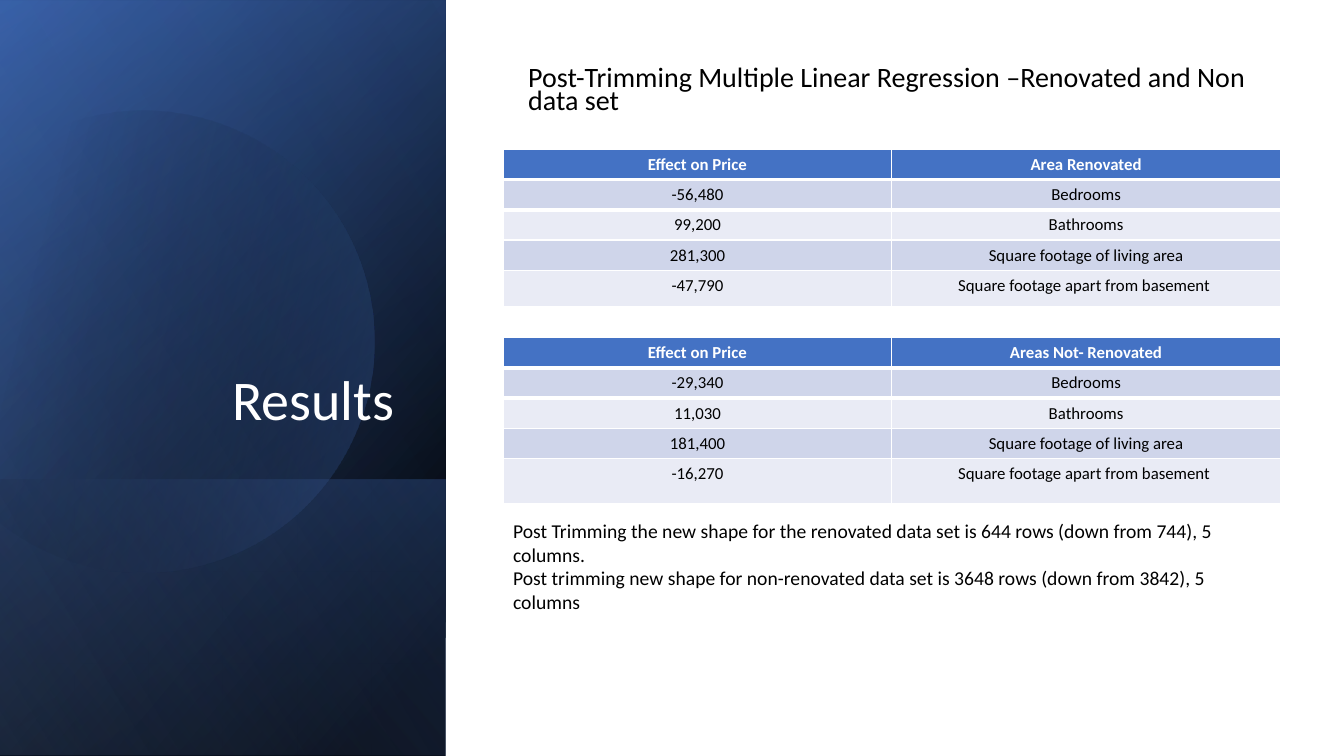
from dataclasses import dataclass
from math import cos, radians, sin, tan

from lxml import etree
from pptx import Presentation
from pptx.dml.color import RGBColor
from pptx.enum.shapes import MSO_SHAPE as SHAPE
from pptx.enum.text import MSO_ANCHOR as ANCHOR, PP_ALIGN as ALIGN
from pptx.oxml.ns import qn
from pptx.util import Inches, Pt


@dataclass(frozen=True)
class Theme:
    font: str = "Calibri"
    white: str = "FFFFFF"
    black: str = "000000"
    blue: str = "4472C4"
    navy: str = "2F5597"
    pale: str = "8FAADC"
    bands: tuple = ("CFD5EA", "E9EBF5")
    title: int = 40
    subtitle: int = 20
    body: int = 14
    cell: int = 12


T = Theme()


def write(tf, *lines, size, color=T.black, bold=False, align=ALIGN.LEFT,
          anchor=ANCHOR.TOP, spacing=1.0):
    tf.word_wrap = True
    tf.vertical_anchor = anchor
    for i, line in enumerate(lines):
        p = tf.paragraphs[0] if i == 0 else tf.add_paragraph()
        p.alignment = align
        p.line_spacing = spacing
        r = p.add_run()
        r.text = line
        r.font.name = T.font
        r.font.size = Pt(size)
        r.font.bold = bold
        r.font.color.rgb = RGBColor.from_string(color)


def shade(sp, angle, *stops):
    """Fill with two (position, colour, opacity) stops, in percent; angle is clockwise."""
    sp.shadow.inherit = False
    sp.line.fill.background()
    sp.fill.gradient()
    sp.fill.gradient_angle = (360 - angle) % 360
    for stop, (position, color, _) in zip(sp.fill.gradient_stops, stops):
        stop.position = position / 100
        stop.color.rgb = RGBColor.from_string(color)
    colors = sp._element.spPr.iter(qn("a:srgbClr"))
    for node, (_, _, opacity) in zip(list(colors), stops):
        etree.SubElement(node, qn("a:alpha"), val=str(opacity * 1000))


prs = Presentation()
prs.slide_width, prs.slide_height = Inches(13.33), Inches(7.5)
s = prs.slides.add_slide(prs.slide_layouts[5])

backdrop = s.shapes.add_shape(SHAPE.RECTANGLE, 0, 0, prs.slide_width, prs.slide_height)
backdrop.shadow.inherit = False
backdrop.fill.solid()
backdrop.fill.fore_color.rgb = RGBColor.from_string(T.white)
backdrop.line.fill.background()

# Left panel: gradient layers turned a quarter, with a cut disc under the last one
LAYERS = [
    (-1.54, 1.54, 7.5, 50, (8, T.black, 100), (100, T.navy, 100)),
    (-1.54, 1.55, 7.5, 30, (0, T.black, 0), (99, T.blue, 46)),
    (0.84, 3.92, 2.74, 130, (2, T.blue, 29), (100, T.black, 30)),
    (-1.54, 1.53, 7.5, 120, (0, T.black, 0), (99, T.pale, 11)),
]
for left, top, width, angle, *stops in LAYERS:
    if angle == 120:
        cx, cy, radius = 1.42, 3.34, 2.29
        turns = [radians(a) for a in (-117, -90, 0, 90, 149)]
        points = [(cx + radius * cos(turns[0]), cy + radius * sin(turns[0]))]
        for a, b in zip(turns, turns[1:]):
            k = 4 / 3 * tan((b - a) / 4)
            for t, pull in ((a, k), (b, -k), (b, 0)):
                points.append((cx + radius * (cos(t) - pull * sin(t)),
                               cy + radius * (sin(t) + pull * cos(t))))
        points = [(Inches(x), Inches(y)) for x, y in points]
        outline = s.shapes.build_freeform(*points[0])
        outline.add_line_segments(points[1:], close=True)
        disc = outline.convert_to_shape()
        segments = list(disc._element.spPr.iter(qn("a:lnTo")))
        for first, second, third in zip(*[iter(segments)] * 3):
            curve = etree.Element(qn("a:cubicBezTo"))
            first.addprevious(curve)
            for segment in (first, second, third):
                curve.append(segment[0])
                segment.getparent().remove(segment)
        disc.rotation = 343.9
        shade(disc, 30, (29, T.black, 0), (100, T.blue, 43))
    sp = s.shapes.add_shape(SHAPE.RECTANGLE, Inches(left), Inches(top),
                            Inches(width), Inches(4.42))
    sp.rotation = 90
    sp._element.spPr.find(qn("a:xfrm")).set("flipH", "1")
    shade(sp, angle, *stops)

title = s.shapes.title
s.shapes._spTree.append(title._element)
title.left, title.top, title.width, title.height = map(Inches, (0.51, 0.64, 3.5, 3.7))
write(title.text_frame, "Results", size=T.title, color=T.white,
      align=ALIGN.RIGHT, anchor=ANCHOR.BOTTOM, spacing=0.9)

subtitle = s.shapes.add_textbox(Inches(5.14), Inches(0.63), Inches(7.56), Inches(0.59))
write(subtitle.text_frame,
      "Post-Trimming Multiple Linear Regression –Renovated and Non data set",
      size=T.subtitle, spacing=0.7)

AREAS = ["Bedrooms", "Bathrooms", "Square footage of living area",
         "Square footage apart from basement "]
TABLES = [
    (1.48, 1.56, 0.2, 0.36, "Area Renovated",
     ["-56,480", "99,200", "281,300", "-47,790"]),
    (3.35, 1.64, 0.28, 0.44, "Areas Not- Renovated",
     ["-29,340", "11,030", "181,400", "-16,270"]),
]
for top, total, row_height, last_height, heading, effects in TABLES:
    rows = [("Effect on Price", heading), *zip(effects, AREAS)]
    frame = s.shapes.add_table(len(rows), 2, Inches(4.99), Inches(top),
                               Inches(7.71), Inches(total))
    table = frame.table
    for i, row in enumerate(rows):
        header = i == 0
        table.rows[i].height = Inches(last_height if i == len(rows) - 1 else row_height)
        for j, text in enumerate(row):
            cell = table.cell(i, j)
            cell.fill.solid()
            cell.fill.fore_color.rgb = RGBColor.from_string(
                T.blue if header else T.bands[(i - 1) % 2])
            write(cell.text_frame, text, size=T.cell, bold=header, align=ALIGN.CENTER,
                  color=T.white if header else T.black)
            if i < 2:
                rule = etree.Element(qn("a:lnB" if header else "a:lnT"), w=str(Pt(3)))
                fill = etree.SubElement(rule, qn("a:solidFill"))
                etree.SubElement(fill, qn("a:srgbClr"), val=T.white)
                cell._tc.get_or_add_tcPr().insert(0, rule)
    frame.height = Inches(total)

summary = s.shapes.add_textbox(Inches(4.99), Inches(5.1), Inches(7.71), Inches(1.04))
write(summary.text_frame,
      "Post Trimming the new shape for the renovated data set is 644 rows "
      "(down from 744), 5 columns.",
      "Post trimming new shape for non-renovated data set is 3648 rows "
      "(down from 3842), 5 columns",
      size=T.body)

prs.save("out.pptx")
